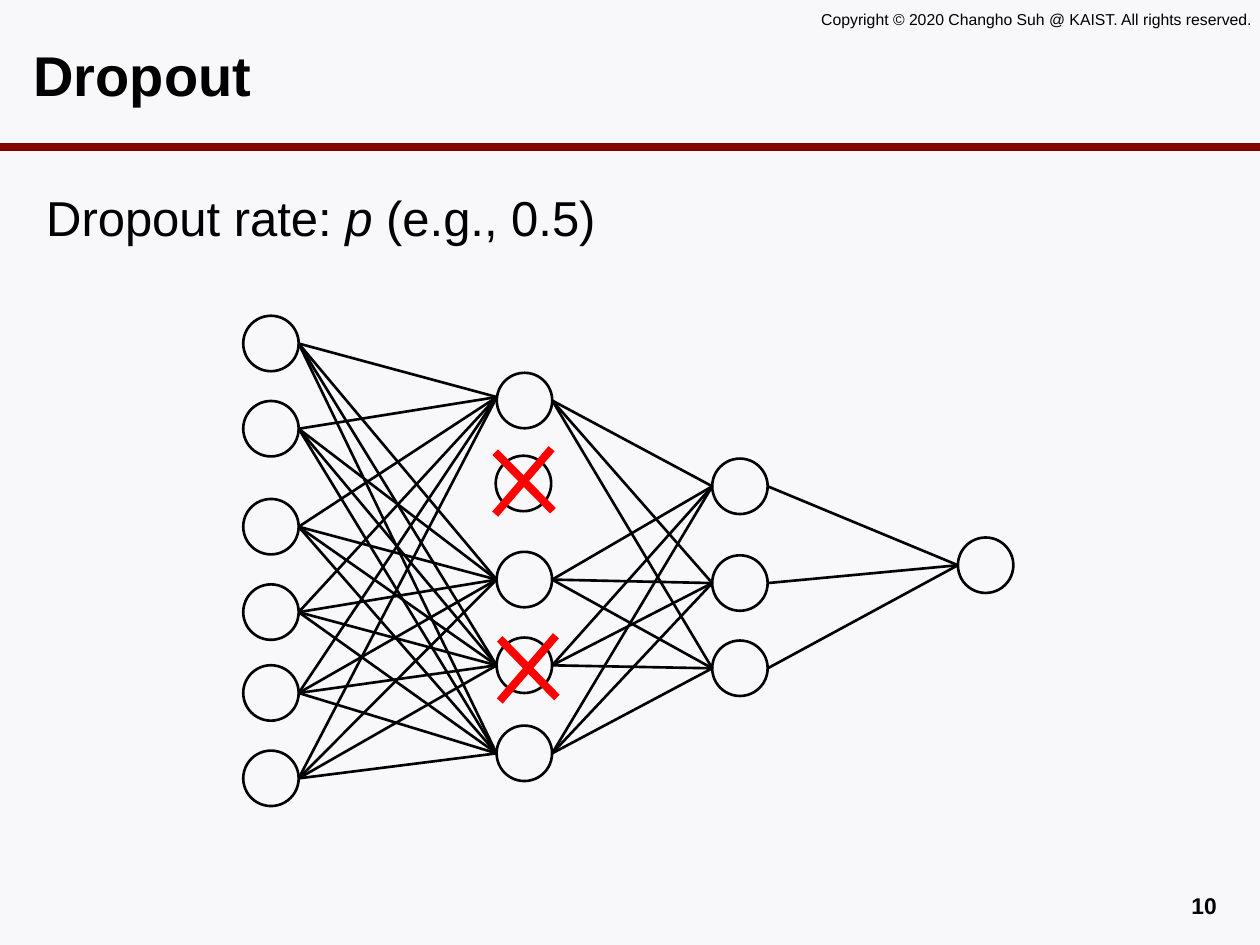
import itertools
from dataclasses import dataclass
from typing import Any

import lxml.etree
import pptx
import pptx.dml.color
import pptx.enum.shapes
import pptx.enum.text
import pptx.oxml.ns
import pptx.util

Pt = pptx.util.Pt
PP_ALIGN = pptx.enum.text.PP_ALIGN
ANCHOR = pptx.enum.text.MSO_ANCHOR
BLACK, RED, MAROON, PAPER = "000000", "FF0000", "800000", "F8F8FA"
DIAMETER = 31.7


@dataclass(frozen=True)
class Neuron:
    left: float
    middle: float
    linked: bool = True
    inlet_shift: float = 0

    @property
    def inlet(self) -> tuple[float, float]:
        return self.left, self.middle + self.inlet_shift

    @property
    def outlet(self) -> tuple[float, float]:
        return self.left + DIAMETER, self.middle


@dataclass(frozen=True)
class Cross:
    rising: tuple[float, float, float, float]
    falling: tuple[float, float, float, float]


@dataclass(frozen=True)
class Caption:
    box: tuple[float, float, float, float]
    runs: tuple[tuple[str, dict[str, Any]], ...]
    font: dict[str, Any]
    align: PP_ALIGN = PP_ALIGN.LEFT
    anchor: ANCHOR = ANCHOR.TOP


CAPTIONS = (
    Caption((462.3, 2.2, 268.5, 18), (("Copyright © 2020 Changho Suh @ KAIST. All rights reserved.", {}),),
            {"size": Pt(9)}),
    Caption((12.2, 12.2, 688.3, 59.8), (("Dropout", {}),),
            {"size": Pt(32), "bold": True}, anchor=ANCHOR.MIDDLE),
    Caption((534.2, 506.2, 168, 19.4), (("10", {}),),
            {"size": Pt(13), "bold": True}, align=PP_ALIGN.RIGHT),
    Caption((19.4, 103.7, 476.6, 46),
            (("Dropout rate: ", {}), ("p ", {"italic": True}), ("(e.g., 0.5)", {})),
            {"size": Pt(28)}),
)

INPUTS = [Neuron(139, middle) for middle in (196.3, 245, 301, 349.8, 396, 444.8)]
FIRST_HIDDEN = [
    Neuron(283.9, 228.9, inlet_shift=-2),
    Neuron(283.3, 276.3, linked=False),
    Neuron(283.8, 331.2),
    Neuron(283.8, 380.2),
    Neuron(283.8, 430.5),
]
SECOND_HIDDEN = [Neuron(407, middle) for middle in (277.9, 333.2, 381.9)]
OUTPUTS = [Neuron(547.4, 323)]
LAYERS = [INPUTS, FIRST_HIDDEN, SECOND_HIDDEN, OUTPUTS]

CROSSES = (
    Cross((283, 293.8, 315.2, 256.4), (283, 258.4, 316, 291.9)),
    Cross((285.6, 400.6, 317.7, 363.3), (285.6, 365.1, 318.2, 398.6)),
)


def color(code: str) -> pptx.dml.color.RGBColor:
    return pptx.dml.color.RGBColor.from_string(code)


def set_attributes(target: Any, values: dict[str, Any]) -> None:
    for key, value in values.items():
        setattr(target, key, value)


def draw_line(slide: Any, ends: tuple[float, ...], tone: str = BLACK, width: float = 1.5) -> None:
    stroke = slide.shapes.add_connector(
        pptx.enum.shapes.MSO_CONNECTOR.STRAIGHT, *map(Pt, ends))
    stroke.line.color.rgb = color(tone)
    stroke.line.width = Pt(width)
    properties = stroke._element.find(pptx.oxml.ns.qn("p:spPr"))
    lxml.etree.SubElement(properties, pptx.oxml.ns.qn("a:effectLst"))


def draw_neuron(slide: Any, neuron: Neuron) -> None:
    circle = slide.shapes.add_shape(
        pptx.enum.shapes.MSO_SHAPE.OVAL, Pt(neuron.left),
        Pt(neuron.middle - DIAMETER / 2), Pt(DIAMETER), Pt(DIAMETER))
    circle.shadow.inherit = False
    circle.fill.background()
    circle.line.color.rgb = color(BLACK)
    circle.line.width = Pt(1.5)


def draw_caption(slide: Any, caption: Caption) -> None:
    frame = slide.shapes.add_textbox(*map(Pt, caption.box)).text_frame
    set_attributes(frame, {
        "word_wrap": True, "vertical_anchor": caption.anchor,
        "margin_left": Pt(7), "margin_right": Pt(7),
        "margin_top": Pt(3.6), "margin_bottom": Pt(3.6),
    })
    paragraph = frame.paragraphs[0]
    paragraph.alignment = caption.align
    for words, emphasis in caption.runs:
        run = paragraph.add_run()
        run.text = words
        set_attributes(run.font, {"name": "Arial", **caption.font, **emphasis})
        run.font.color.rgb = color(BLACK)


def draw_network(slide: Any) -> None:
    for sources, targets in itertools.pairwise(LAYERS):
        for source, target in itertools.product(sources, targets):
            if source.linked and target.linked:
                draw_line(slide, source.outlet + target.inlet)
    for neuron in itertools.chain.from_iterable(LAYERS):
        draw_neuron(slide, neuron)
    for cross in CROSSES:
        draw_line(slide, cross.rising, RED, 4.5)
        draw_line(slide, cross.falling, RED, 4.5)


def main() -> None:
    deck = pptx.Presentation()
    set_attributes(deck, {"slide_width": Pt(720), "slide_height": Pt(540)})
    slide = deck.slides.add_slide(deck.slide_layouts[6])
    slide.background.fill.solid()
    slide.background.fill.fore_color.rgb = color(PAPER)
    draw_line(slide, (0, 84, 720, 84), MAROON, 4.5)
    for caption in CAPTIONS:
        draw_caption(slide, caption)
    draw_network(slide)
    deck.save("out.pptx")


if __name__ == "__main__":
    main()
